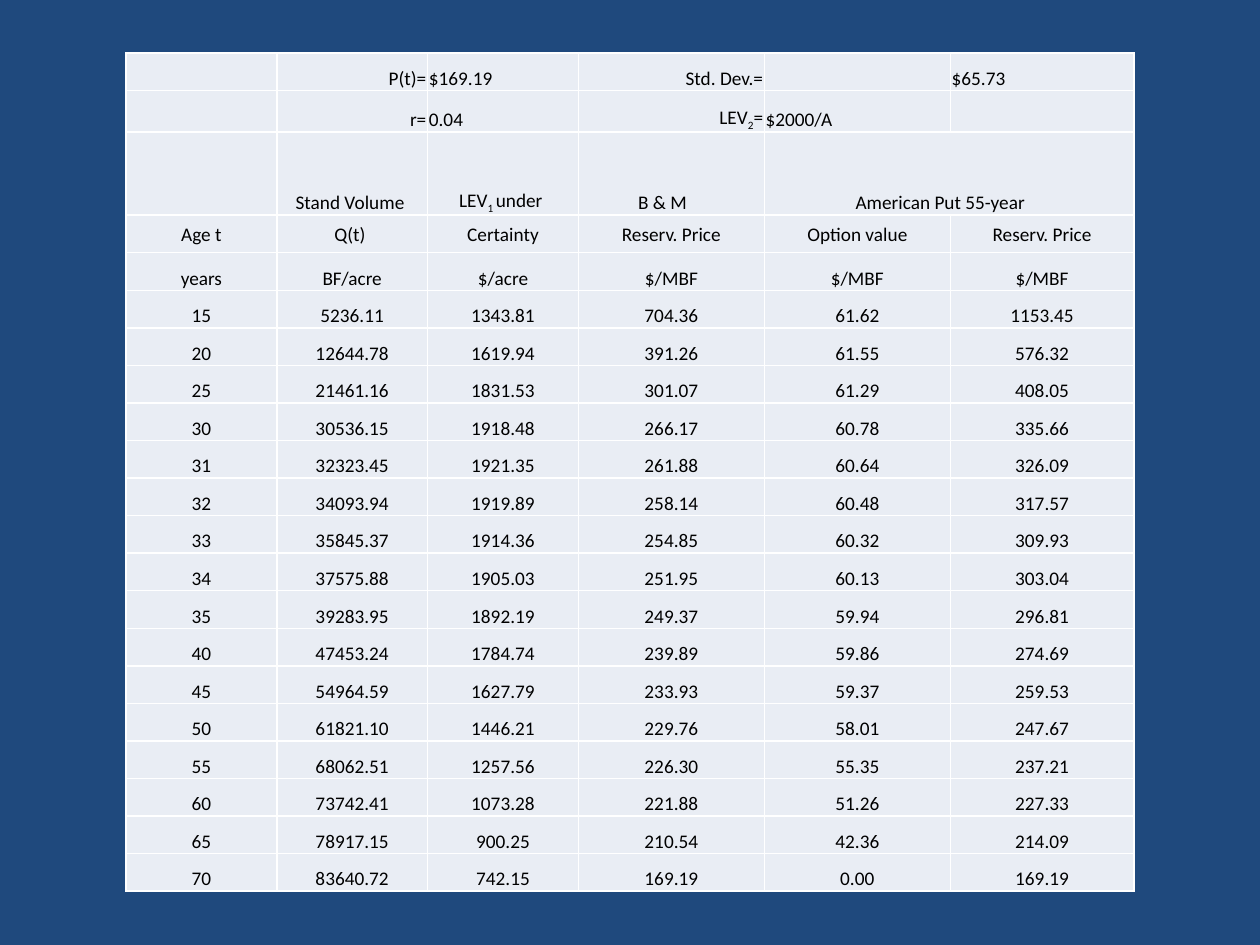
from lxml.etree import SubElement
from pptx import Presentation
from pptx.dml.color import RGBColor
from pptx.enum.text import MSO_ANCHOR as Anchor, PP_ALIGN as Align
from pptx.oxml.ns import qn
from pptx.util import Inches, Pt

# A pair of bars encloses a subscript.
PARAMETERS = [
    ["", "P(t)=", "$169.19 ", "Std. Dev.=", "", "$65.73 "],
    ["", "r=", "0.04", "LEV|2|=", "$2000/A", ""],
]
HEADINGS = [
    ["", "Stand Volume ", "LEV|1 |under ", "B & M", "American Put 55-year", ""],
    ["Age t", "Q(t) ", "Certainty", "Reserv. Price", "Option value", "Reserv. Price"],
    ["years", "BF/acre", "$/acre", "$/MBF", "$/MBF", "$/MBF"],
]
VALUES = """
15 5236.11 1343.81 704.36 61.62 1153.45
20 12644.78 1619.94 391.26 61.55 576.32
25 21461.16 1831.53 301.07 61.29 408.05
30 30536.15 1918.48 266.17 60.78 335.66
31 32323.45 1921.35 261.88 60.64 326.09
32 34093.94 1919.89 258.14 60.48 317.57
33 35845.37 1914.36 254.85 60.32 309.93
34 37575.88 1905.03 251.95 60.13 303.04
35 39283.95 1892.19 249.37 59.94 296.81
40 47453.24 1784.74 239.89 59.86 274.69
45 54964.59 1627.79 233.93 59.37 259.53
50 61821.10 1446.21 229.76 58.01 247.67
55 68062.51 1257.56 226.30 55.35 237.21
60 73742.41 1073.28 221.88 51.26 227.33
65 78917.15 900.25 210.54 42.36 214.09
70 83640.72 742.15 169.19 0.00 169.19
"""
ROWS = PARAMETERS + HEADINGS + [line.split() for line in VALUES.split("\n") if line]

SLIDE_WIDTH, SLIDE_HEIGHT = 10, 7.5
LEFT, TOP, WIDTH, HEIGHT = 1, 0.42, 8, 6.66
COLUMN_SHARES = [1.2, 1.2, 1.2, 1.48, 1.48, 1.46]
TALL_ROWS = {1: 0.33, 2: 0.66}
HEADING_ROW, NAME_ROW = 2, 3
SPANNING_COLUMN = 4
PARAMETER_ALIGN = [Align.CENTER, Align.RIGHT, Align.LEFT, Align.RIGHT, Align.LEFT, Align.LEFT]
INSET, SHIFTED_INSET = 0.01, 0.15
BACKGROUND, CELL_FILL, BORDER, INK = "1F497D", "E9EDF4", "FFFFFF", "000000"


def paint(fill, color):
    """Give a fill one solid colour."""
    fill.solid()
    fill.fore_color.rgb = RGBColor.from_string(color)


def write(frame, text, size=11, font="Calibri", color=INK, align=Align.CENTER):
    """Write text into a frame, lowering the parts between bars."""
    paragraph = frame.paragraphs[0]
    paragraph.alignment = align
    if not text:
        SubElement(paragraph._p, qn("a:endParaRPr"), sz=str(size * 100))
        return
    for index, part in enumerate(text.split("|")):
        run = paragraph.add_run()
        run.text = part
        run.font.size, run.font.name = Pt(size), font
        run.font.color.rgb = RGBColor.from_string(color)
        if index % 2:
            run.font._element.set("baseline", "-25000")


def draw_borders(cell, color=BORDER, width=1):
    """Draw all four borders of a cell, ahead of its fill."""
    properties = cell._tc.get_or_add_tcPr()
    for position, side in enumerate(("a:lnL", "a:lnR", "a:lnT", "a:lnB")):
        line = SubElement(properties, qn(side), w=str(Pt(width)))
        SubElement(SubElement(line, qn("a:solidFill")), qn("a:srgbClr"), val=color)
        properties.insert(position, line)


def format_cell(cell, row, column, text):
    """Set the fill, borders, insets and text of one cell."""
    paint(cell.fill, CELL_FILL)
    draw_borders(cell)
    shifted = row == HEADING_ROW and column >= 3
    cell.margin_left = cell.margin_top = Inches(INSET)
    cell.margin_right = Inches(SHIFTED_INSET if shifted else INSET)
    cell.margin_bottom = 0
    cell.vertical_anchor = Anchor.MIDDLE if row == NAME_ROW else Anchor.BOTTOM
    align = PARAMETER_ALIGN[column] if row < len(PARAMETERS) else Align.CENTER
    write(cell.text_frame, text, align=align)


def add_price_table(slide):
    """Add the table of stand values and reservation prices."""
    frame = slide.shapes.add_table(
        len(ROWS), len(COLUMN_SHARES),
        Inches(LEFT), Inches(TOP), Inches(WIDTH), Inches(HEIGHT))
    table = frame.table
    table.first_row = table.horz_banding = False
    for column, share in zip(table.columns, COLUMN_SHARES):
        column.width = Inches(WIDTH * share / sum(COLUMN_SHARES))
    plain_height = (HEIGHT - sum(TALL_ROWS.values())) / (len(ROWS) - len(TALL_ROWS))
    for row, texts in enumerate(ROWS):
        table.rows[row].height = Inches(TALL_ROWS.get(row, plain_height))
        for column, text in enumerate(texts):
            format_cell(table.cell(row, column), row, column, text)
    table.cell(HEADING_ROW, SPANNING_COLUMN).merge(
        table.cell(HEADING_ROW, SPANNING_COLUMN + 1))


def main():
    """Build and save the slide."""
    presentation = Presentation()
    presentation.slide_width = Inches(SLIDE_WIDTH)
    presentation.slide_height = Inches(SLIDE_HEIGHT)
    slide = presentation.slides.add_slide(presentation.slide_layouts[6])
    paint(slide.background.fill, BACKGROUND)
    add_price_table(slide)
    presentation.save("out.pptx")


main()
